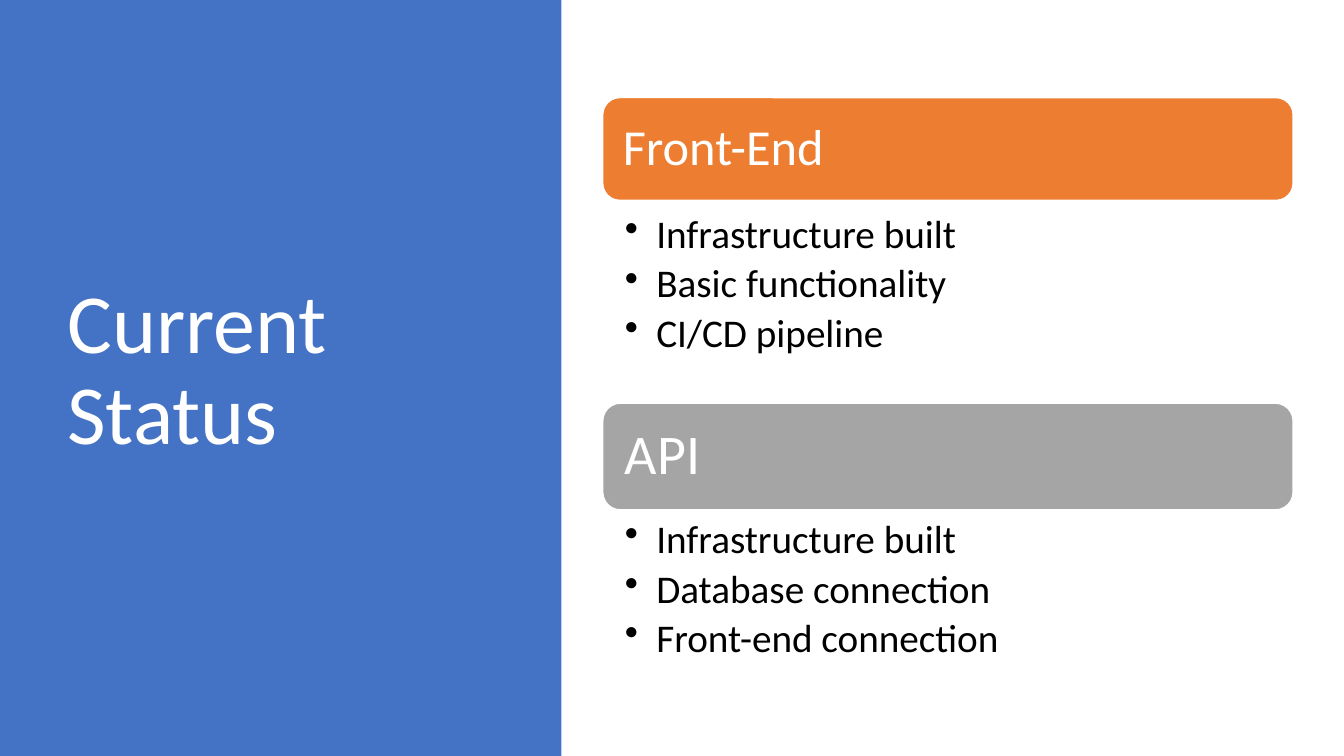
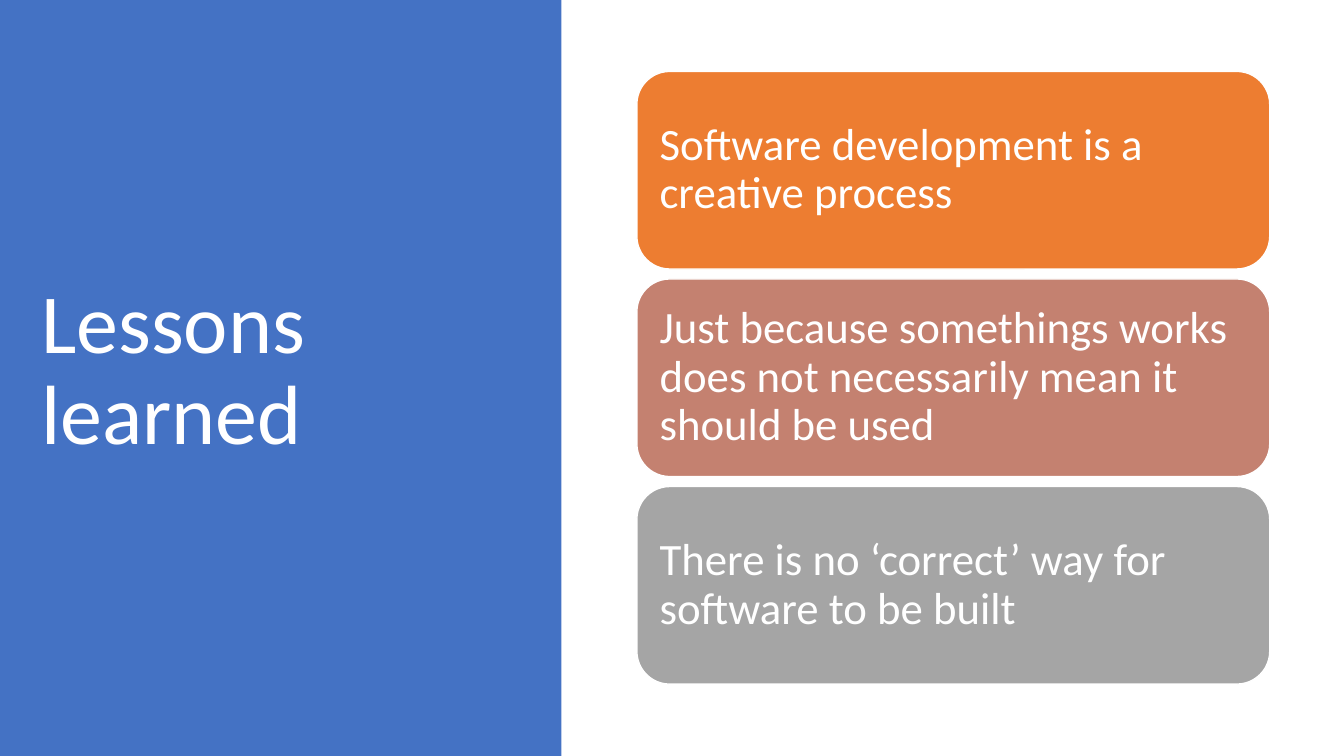
"""Build two slides with a blue title panel and rounded cards."""
import pptx
import pptx.dml.color
import pptx.enum.shapes
import pptx.enum.text
import pptx.oxml
import pptx.oxml.ns
import pptx.util

Cm, Pt = pptx.util.Cm, pptx.util.Pt
SHAPE = pptx.enum.shapes.MSO_SHAPE
ANCHOR = pptx.enum.text.MSO_ANCHOR
BLUE, ORANGE, ROSE, GREY = "4472C4", "ED7D31", "C48170", "A5A5A5"
WHITE, BLACK = "FFFFFF", "000000"
WIDTH, HEIGHT, PANEL_W = 33.87, 19.05, 14.15
BULLET = '<a:buChar xmlns:a="http://schemas.openxmlformats.org/drawingml/2006/main" char="•"/>'


def rgb(value):
    return pptx.dml.color.RGBColor.from_string(value)


def add_block(slide, box, lines, size=18, color=WHITE, fill=None, preset=None,
              inset=(0.25, 0.13), anchor=ANCHOR.MIDDLE, after=0, bullets=False):
    box = [Cm(v) for v in box]
    if preset is None:
        sp = slide.shapes.add_textbox(*box)
    else:
        sp = slide.shapes.add_shape(preset, *box)
        sp.shadow.inherit = False
        sp.fill.solid()
        sp.fill.fore_color.rgb = rgb(fill)
        if preset == SHAPE.RECTANGLE:
            sp.line.fill.background()
        else:
            sp.line.color.rgb = rgb(WHITE)
            sp.line.width = Pt(1)
    tf = sp.text_frame
    dx, dy = (Cm(v) for v in inset)
    frame_format = {"word_wrap": True, "vertical_anchor": anchor, "margin_left": dx,
                    "margin_right": dx, "margin_top": dy, "margin_bottom": dy}
    for name, value in frame_format.items():
        setattr(tf, name, value)
    for i, line in enumerate(lines):
        p = tf.paragraphs[0] if i == 0 else tf.add_paragraph()
        for name, value in {"alignment": pptx.enum.text.PP_ALIGN.LEFT,
                            "line_spacing": 0.9, "space_after": Pt(after)}.items():
            setattr(p, name, value)
        r = p.add_run()
        r.text = line
        for name, value in {"name": "Calibri", "size": Pt(size)}.items():
            setattr(r.font, name, value)
        r.font.color.rgb = rgb(color)
        if bullets:
            pPr = p._p.get_or_add_pPr()
            pPr.set("marL", str(Cm(0.79)))
            pPr.set("indent", str(-Cm(0.79)))
            pPr.append(pptx.oxml.parse_xml(BULLET))


prs = pptx.Presentation()
prs.slide_width, prs.slide_height = Cm(WIDTH), Cm(HEIGHT)

slides = []
for title, left, width in [("Current Status", 1.45, 10.57), ("Lessons learned", 0.79, 13.36)]:
    slide = prs.slides.add_slide(prs.slide_layouts[6])
    add_block(slide, (0, 0, PANEL_W, HEIGHT), [], fill=BLUE, preset=SHAPE.RECTANGLE)
    add_block(slide, (left, 1.73, width, 15.29), [title], size=60)
    slides.append(slide)
status, lessons = slides

sections = [
    ("Front-End", ORANGE, 36, 0.38, 2.46, 2.59, 5.31,
     ["Infrastructure built", "Basic functionality", "CI/CD pipeline"]),
    ("API", GREY, 40, 0.43, 10.16, 2.69, 13.0,
     ["Infrastructure built", "Database connection", "Front-end connection"]),
]
for heading, fill, size, inset, top, height, list_top, items in sections:
    add_block(status, (15.19, top, 17.4, height), [heading], size=size, fill=fill,
              preset=SHAPE.ROUNDED_RECTANGLE, inset=(inset, inset))
    add_block(status, (15.19, list_top, 17.4, 4.01), items, size=28, color=BLACK,
              inset=(0.56, 0.1), anchor=ANCHOR.TOP, after=5, bullets=True)

cards = [
    ("Software development is a creative process", ORANGE),
    ("Just because somethings works does not necessarily mean it should be used", ROSE),
    ("There is no ‘correct’ way for software to be built", GREY),
]
card_h, card_gap = 4.98, 0.25
for i, (lesson, fill) in enumerate(cards):
    top = 1.8 + i * (card_h + card_gap)
    add_block(lessons, (16.05, top, 15.95, card_h), [lesson], size=32, fill=fill,
              preset=SHAPE.ROUNDED_RECTANGLE, inset=(0.33, 0.33))

prs.save("out.pptx")
